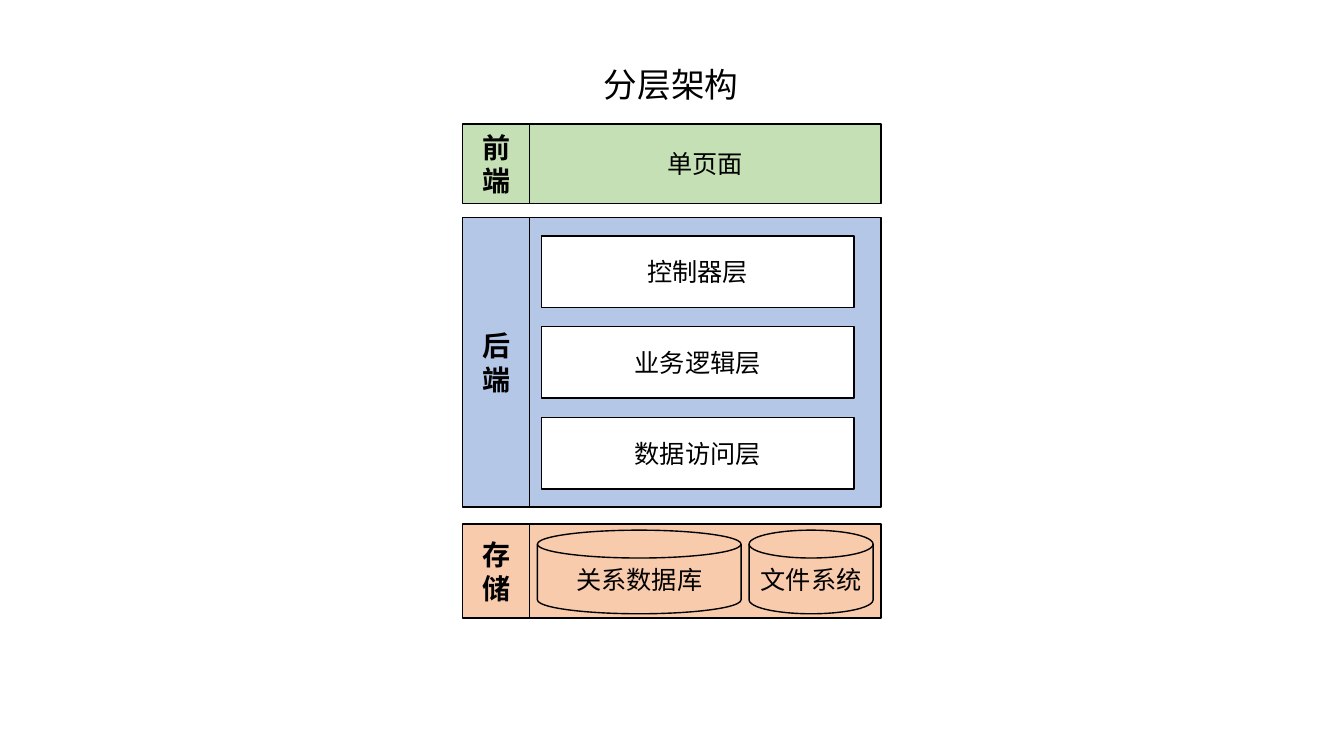
"""Builds a slide that shows a layered architecture: front end, back end and storage."""
import pptx
import pptx.dml.color
import pptx.enum.shapes
import pptx.enum.text
import pptx.oxml.ns
import pptx.util
import lxml.etree

Inches = pptx.util.Inches
KIND = pptx.enum.shapes.MSO_SHAPE
FONT = "Noto Sans CJK SC"
HUES = {"ink": "000000", "white": "FFFFFF", "front": "C5E0B4",
        "back": "B4C7E7", "store": "F8CBAD"}


def tint(name):
    return pptx.dml.color.RGBColor.from_string(HUES[name])


def write(shape, text, size=18, bold=False, align="CENTER", wrap=True):
    frame = shape.text_frame
    frame.word_wrap = wrap
    frame.vertical_anchor = pptx.enum.text.MSO_ANCHOR.MIDDLE
    line = frame.paragraphs[0]
    line.alignment = pptx.enum.text.PP_ALIGN[align]
    run = line.add_run()
    run.text = text
    run.font.size = pptx.util.Pt(size)
    run.font.bold = bold
    run.font.name = FONT
    run.font.color.rgb = tint("ink")
    east = lxml.etree.SubElement(run.font._element, pptx.oxml.ns.qn("a:ea"))
    east.set("typeface", FONT)


deck = pptx.Presentation()
deck.slide_width, deck.slide_height = Inches(13.33), Inches(7.5)
slide = deck.slides.add_slide(deck.slide_layouts[6])

left, side, wide = 4.59, 0.66, 3.49
body = left + side
tiers = [("前端", "front", 1.23, 0.79, "单页面"),
         ("后端", "back", 2.16, 2.87, ""),
         ("存储", "store", 5.2, 0.93, "")]
layers = ["控制器层", "业务逻辑层", "数据访问层"]
disks = [("关系数据库", 5.33, 2.02), ("文件系统", 7.43, 1.23)]

parts = []
for label, hue, top, high, text in tiers:
    parts.append((KIND.RECTANGLE, body, top, wide, high, hue, text, 18, False))
    parts.append((KIND.RECTANGLE, left, top, side, high, hue, label, 20, True))
for row, text in enumerate(layers):
    parts.append((KIND.RECTANGLE, 5.37, 2.34 + row * 0.9, 3.1, 0.71,
                  "white", text, 18, False))
for text, start, width in disks:
    parts.append((KIND.FLOWCHART_MAGNETIC_DISK, start, 5.26, width, 0.83,
                  None, text, 18, False))

for kind, start, top, width, high, hue, text, size, bold in parts:
    shape = slide.shapes.add_shape(kind, Inches(start), Inches(top),
                                   Inches(width), Inches(high))
    shape.shadow.inherit = False
    if hue:
        shape.fill.solid()
        shape.fill.fore_color.rgb = tint(hue)
    else:
        shape.fill.background()
    shape.line.color.rgb = tint("ink")
    shape.line.width = pptx.util.Pt(1)
    if text:
        write(shape, text, size=size, bold=bold)

title = slide.shapes.add_textbox(Inches(5.89), Inches(0.58), Inches(1.55), Inches(0.5))
write(title, "分层架构", size=24, align="LEFT", wrap=False)

deck.save("out.pptx")
